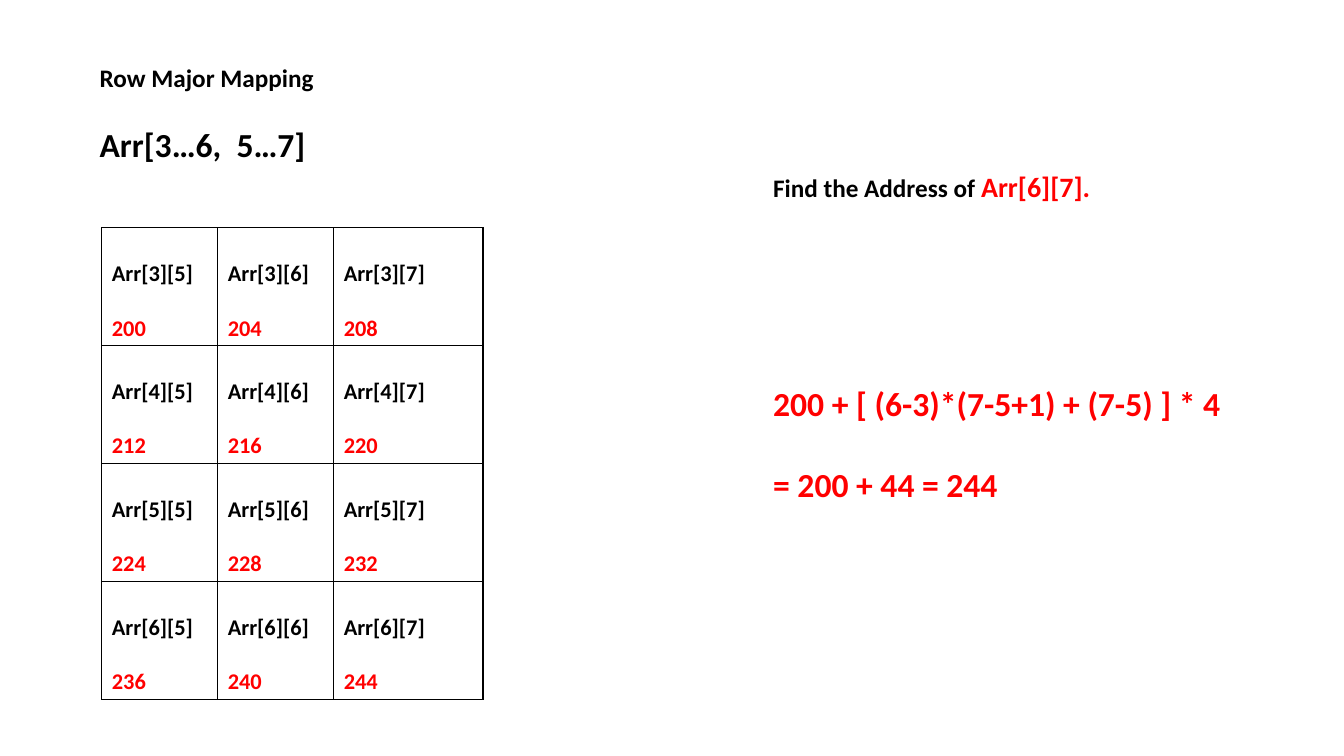
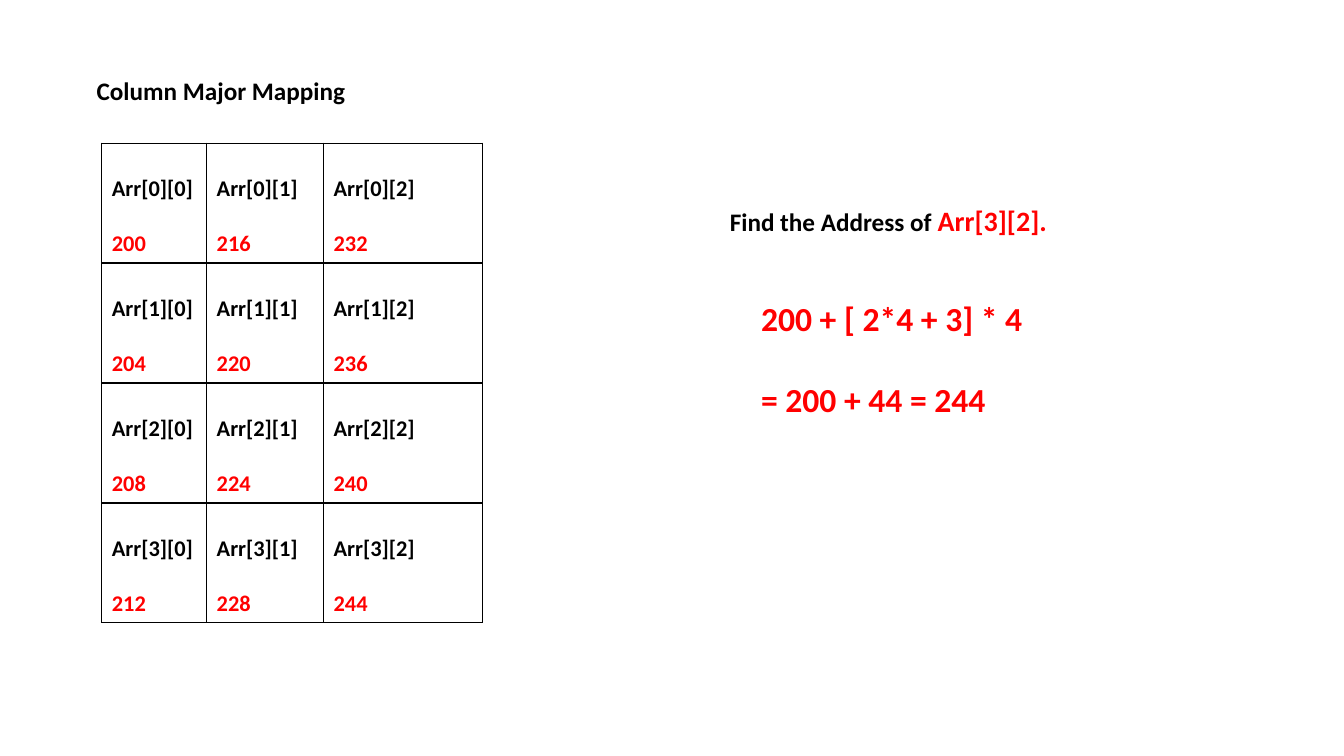
import lxml.etree
import pptx
import pptx.dml.color
import pptx.enum.text
import pptx.oxml.ns
import pptx.util

Inches = pptx.util.Inches
Pt = pptx.util.Pt
COLORS = {"text": "000000", "accent": "FF0000"}
FONT = "Calibri"
ROWS, COLUMNS = 4, 3
BASE_ADDRESS, ELEMENT_SIZE = 200, 4

MAPPINGS = [
    {
        "title": ["Row Major Mapping", "Arr[3…6,  5…7]"],
        "title_box": (0.89, 0.57, 5.57, 1.11),
        "table_top": 2.26,
        "row_height": 1.17,
        "column_widths": [1.15, 1.15, 1.48],
        "first_index": (3, 5),
        "strides": (COLUMNS, 1),
        "target": "Arr[6][7].",
        "question_box": (7.57, 1.63, 3.44, 0.44),
        "solution": ["200 + [ (6-3)*(7-5+1) + (7-5) ] * 4", "= 200 + 44 = 244"],
        "solution_box": (7.57, 3.75, 4.68, 1.31),
    },
    {
        "title": ["Column Major Mapping"],
        "title_box": (0.86, 0.7, 2.71, 0.4),
        "table_top": 1.42,
        "row_height": 1.19,
        "column_widths": [1.04, 1.16, 1.58],
        "first_index": (0, 0),
        "strides": (1, ROWS),
        "target": "Arr[3][2].",
        "question_box": (7.14, 1.97, 3.44, 0.44),
        "solution": ["200 + [ 2*4 + 3] * 4", "= 200 + 44 = 244"],
        "solution_box": (7.45, 2.91, 2.81, 1.31),
    },
]


def style_font(font, size, color):
    font.name = FONT
    font.size = Pt(size)
    font.bold = True
    font.color.rgb = pptx.dml.color.RGBColor.from_string(COLORS[color])


def add_text(slide, box, lines, gap=0, wrap=False):
    shape = slide.shapes.add_textbox(*map(Inches, box))
    frame = shape.text_frame
    frame.word_wrap = wrap
    frame.auto_size = pptx.enum.text.MSO_AUTO_SIZE.SHAPE_TO_FIT_TEXT
    for index, (text, size, color) in enumerate(lines):
        paragraph = frame.add_paragraph() if index else frame.paragraphs[0]
        if index:
            paragraph.space_before = Pt(gap)
        paragraph.add_run().text = text
        style_font(paragraph.font, size, color)
    return frame


presentation = pptx.Presentation()
presentation.slide_width = Inches(13.33)
presentation.slide_height = Inches(7.5)

for mapping in MAPPINGS:
    slide = presentation.slides.add_slide(presentation.slide_layouts[6])
    title_lines = [(text, size, "text") for text, size in zip(mapping["title"], (18, 24))]
    add_text(slide, mapping["title_box"], title_lines, gap=22, wrap=True)

    widths, row_height = mapping["column_widths"], mapping["row_height"]
    table = slide.shapes.add_table(
        ROWS, COLUMNS, Inches(1.01), Inches(mapping["table_top"]),
        Inches(sum(widths)), Inches(ROWS * row_height),
    ).table
    table.first_row = False
    table.horz_banding = False
    for column, width in zip(table.columns, widths):
        column.width = Inches(width)
    for row in table.rows:
        row.height = Inches(row_height)

    first_row, first_column = mapping["first_index"]
    row_stride, column_stride = mapping["strides"]
    for row in range(ROWS):
        for column in range(COLUMNS):
            offset = row * row_stride + column * column_stride
            cell = table.cell(row, column)
            cell.margin_top = Inches(0.32)
            cell.margin_bottom = Inches(0.02)
            element = f"Arr[{first_row + row}][{first_column + column}]"
            cell.text = f"{element}\n{BASE_ADDRESS + offset * ELEMENT_SIZE}"
            name, address = cell.text_frame.paragraphs
            address.space_before = Pt(19.5)
            style_font(name.font, 16, "text")
            style_font(address.font, 16, "accent")
            properties = cell._tc.get_or_add_tcPr()
            for side in ("a:lnL", "a:lnR", "a:lnT", "a:lnB"):
                line = lxml.etree.SubElement(properties, pptx.oxml.ns.qn(side), w=str(Pt(1)))
                fill = lxml.etree.SubElement(line, pptx.oxml.ns.qn("a:solidFill"))
                lxml.etree.SubElement(fill, pptx.oxml.ns.qn("a:srgbClr"), val=COLORS["text"])
            cell.fill.background()

    question = add_text(slide, mapping["question_box"], [("Find the Address of ", 18, "text")])
    target = question.paragraphs[0].add_run()
    target.text = mapping["target"]
    style_font(target.font, 20, "accent")

    solution_lines = [(text, 24, "accent") for text in mapping["solution"]]
    add_text(slide, mapping["solution_box"], solution_lines, gap=29)

presentation.save("out.pptx")
